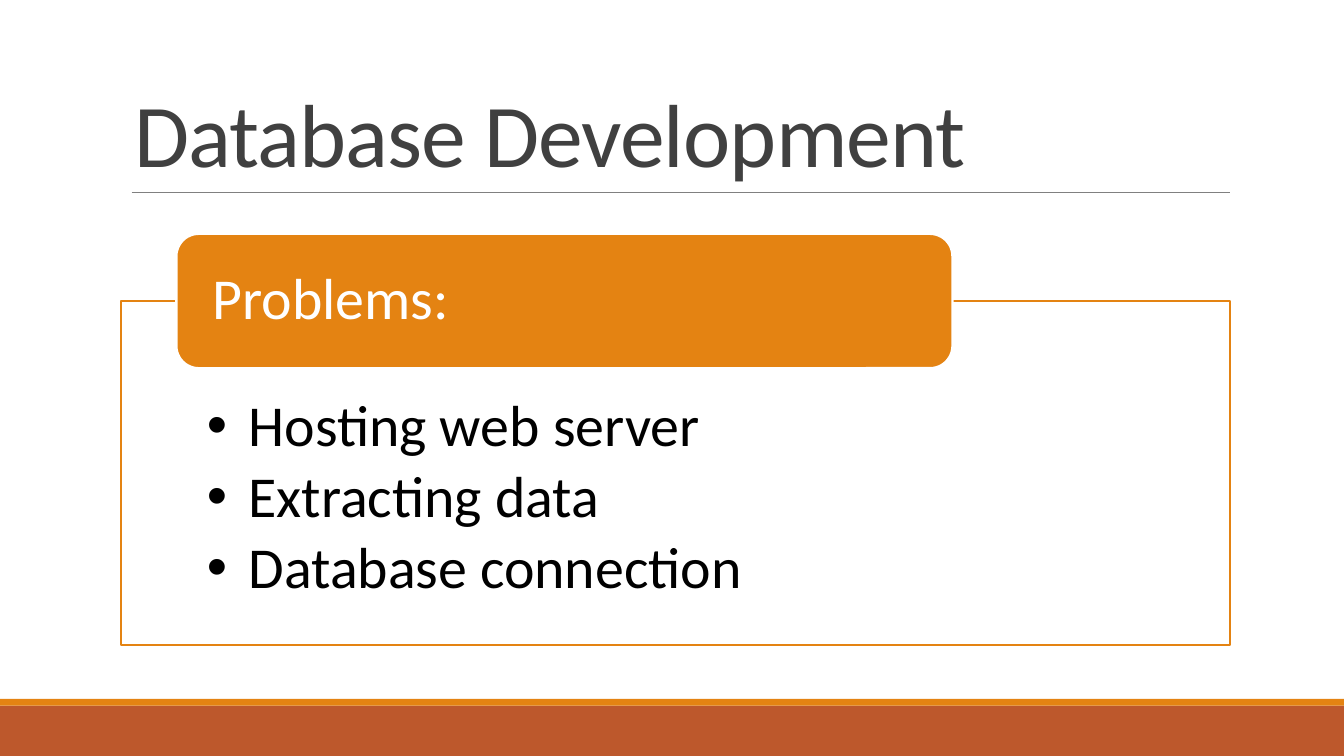
from lxml import etree
from pptx import Presentation, util as u
from pptx.dml.color import RGBColor
from pptx.enum import shapes, text
from pptx.oxml import ns

ORANGE, RUST, WHITE = "E48312", "BD582C", "FFFFFF"
WIDE, HIGH = 10, 10 * 9 / 16


def color(code):
    """Turn a hex string into a colour."""
    return RGBColor.from_string(code)


def inches(*sizes):
    """Turn numbers into lengths."""
    return [u.Inches(size) for size in sizes]


def draw(slide, box, fill, line=None, kind=shapes.MSO_SHAPE.RECTANGLE):
    """Add a flat filled shape, with an outline if asked."""
    shape = slide.shapes.add_shape(kind, *inches(*box))
    shape.shadow.inherit = False
    shape.fill.solid()
    shape.fill.fore_color.rgb = color(fill)
    if line:
        shape.line.color.rgb = color(line)
        shape.line.width = u.Pt(1.25)
    else:
        shape.line.fill.background()
    return shape


def write(shape, lines, size=31, ink="000000", pad=(0.1, 0.05, 0.1, 0.05),
          anchor="TOP", lead=0.9, after=0, hang=0, track=0):
    """Fill a shape with formatted paragraphs, bulleted if they hang."""
    frame = shape.text_frame
    frame.word_wrap = True
    frame.vertical_anchor = text.MSO_ANCHOR[anchor]
    (frame.margin_left, frame.margin_top,
     frame.margin_right, frame.margin_bottom) = inches(*pad)
    frame.text = "\n".join(lines)
    for para in frame.paragraphs:
        para.alignment = text.PP_ALIGN.LEFT
        para.line_spacing = lead
        para.space_after = u.Pt(after)
        font = para.runs[0].font
        font.name, font.size = "Calibri", u.Pt(size)
        font.color.rgb = color(ink)
        if track:
            font._element.set("spc", str(int(track * 100)))
        if hang:
            props = para._p.get_or_add_pPr()
            props.set("marL", str(u.Inches(hang)))
            props.set("indent", str(-u.Inches(hang)))
            etree.SubElement(props, ns.qn("a:buFont")).set("typeface", "Arial")
            etree.SubElement(props, ns.qn("a:buChar")).set("char", "•")


def header(slide, box, title):
    """Place the title with a thin rule at its foot."""
    left, top, width, height = box
    write(slide.shapes.add_textbox(*inches(*box)), [title], size=48,
          ink="404040", anchor="BOTTOM", lead=0.85, track=-0.5)
    foot = top + height
    rule = slide.shapes.add_connector(
        shapes.MSO_CONNECTOR.STRAIGHT,
        *inches(left + 0.08, foot, left + width, foot))
    rule.line.color.rgb = color("808080")
    rule.line.width = u.Pt(0.5)
    etree.SubElement(rule._element.spPr, ns.qn("a:effectLst"))


def panel(slide, box, label, items):
    """Place an outlined list with a label over its top edge."""
    left, top, width, height = box
    frame = draw(slide, box, WHITE, ORANGE)
    write(frame, items, pad=(0.64, 0.71, 0.64, 0.24), after=4.65, hang=0.31)
    tab = draw(slide, (left + width * 0.05, top - 0.5, width * 0.7, 1),
               ORANGE, WHITE, shapes.MSO_SHAPE.ROUNDED_RECTANGLE)
    write(tab, [label], ink=WHITE, pad=(0.22, 0.05, 0.22, 0.05),
          anchor="MIDDLE")


def footer(slide, box):
    """Place the bottom band with a bright strip along its top."""
    left, top, width, height = box
    draw(slide, (left, top + 0.05, width, height - 0.05), RUST)
    draw(slide, (left, top, width, 0.05), ORANGE)


def main():
    """Build and save the slide."""
    deck = Presentation()
    deck.slide_width, deck.slide_height = inches(WIDE, HIGH)
    slide = deck.slides.add_slide(deck.slide_layouts[6])
    footer(slide, (0, 5.2, WIDE, HIGH - 5.2))
    header(slide, (0.9, 0.24, 8.25, 1.19), "Database Development")
    panel(slide, (0.9, 2.24, 8.25, 2.56), "Problems:",
          ["Hosting web server", "Extracting data", "Database connection"])
    deck.save("out.pptx")


if __name__ == "__main__":
    main()
